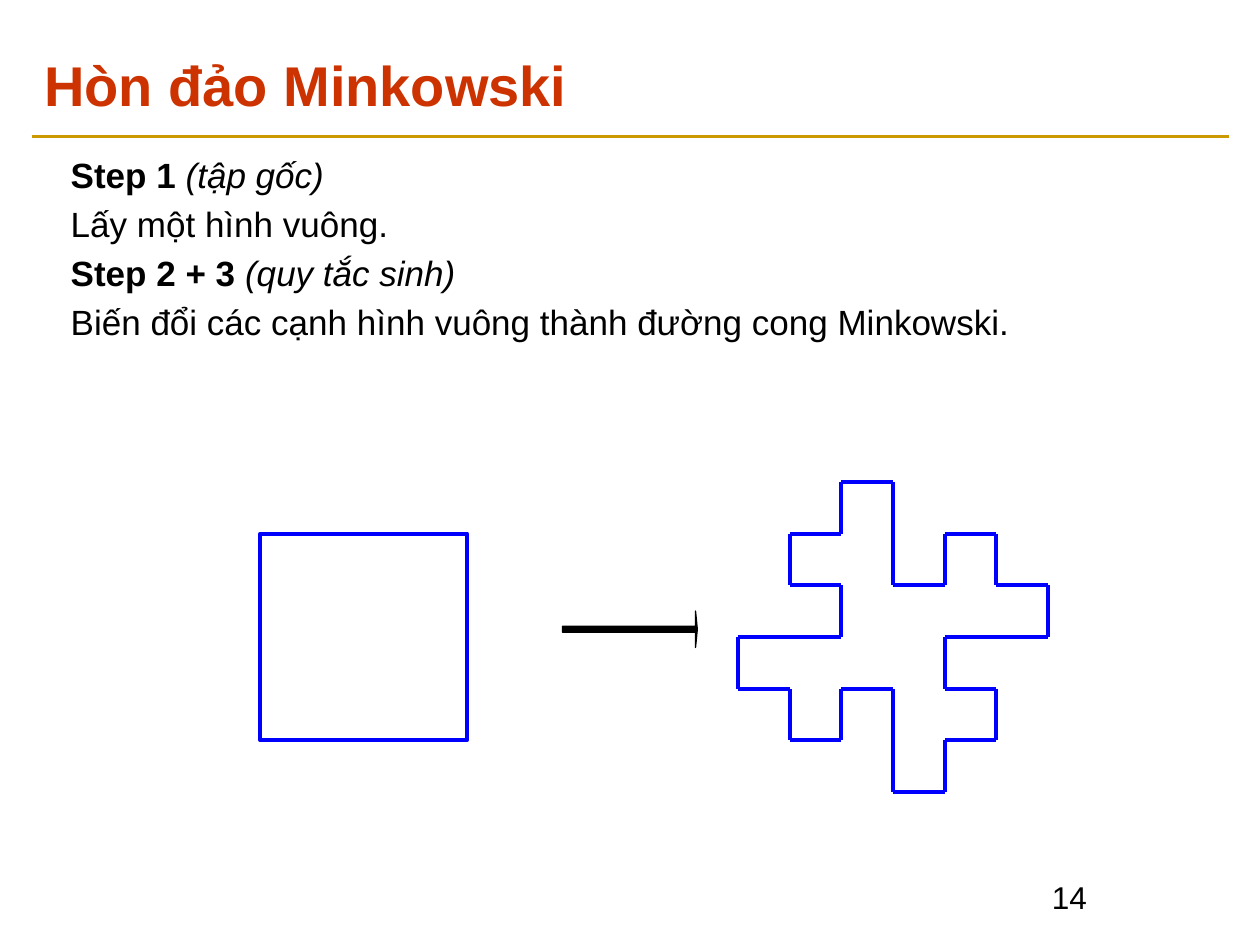
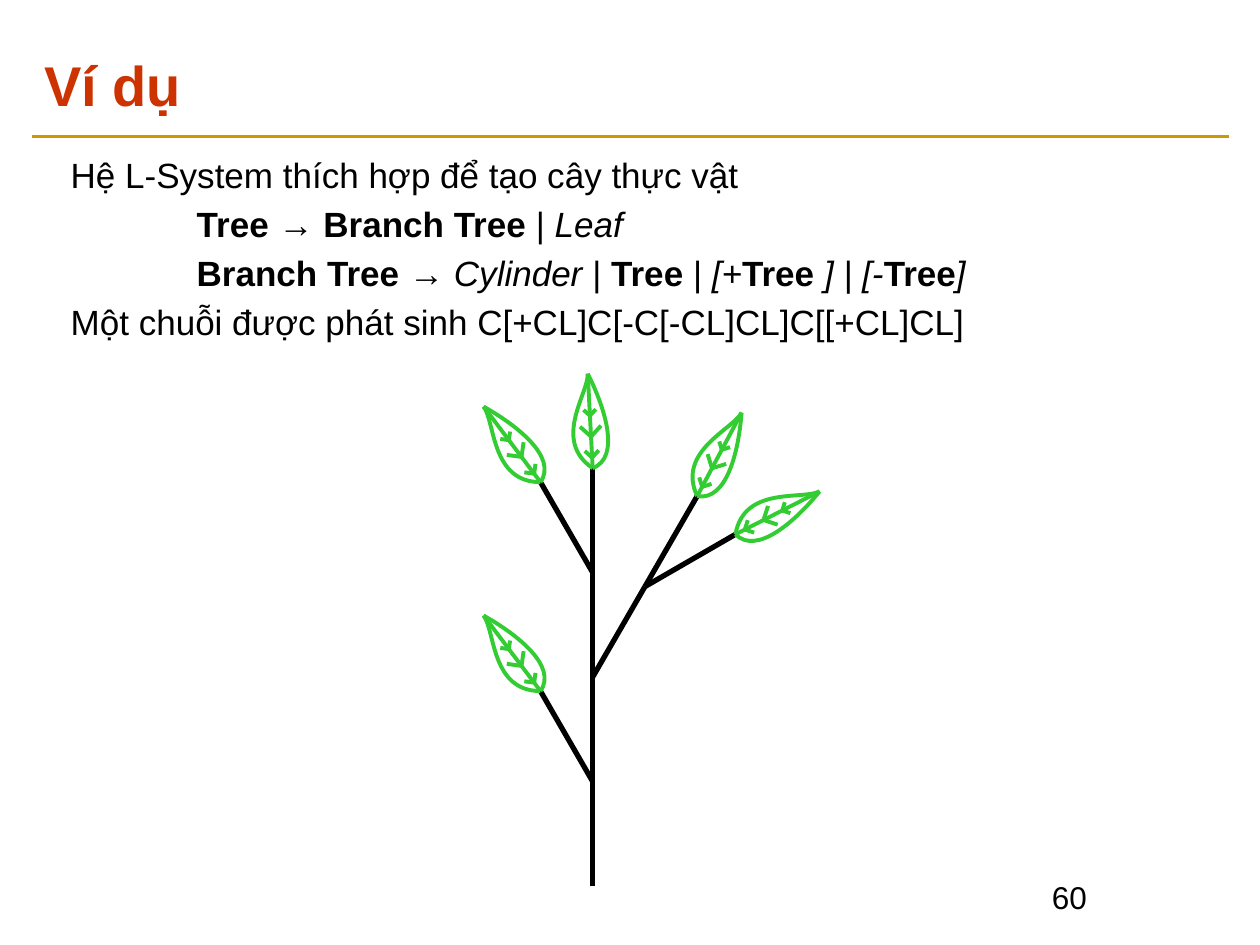
from math import cos, radians, sin

from lxml import etree
from pptx import Presentation
from pptx.dml.color import RGBColor
from pptx.enum.shapes import MSO_CONNECTOR, MSO_SHAPE
from pptx.enum.text import MSO_ANCHOR, PP_ALIGN
from pptx.oxml.ns import qn
from pptx.util import Pt

STRAIGHT = MSO_CONNECTOR.STRAIGHT
RECTANGLE = MSO_SHAPE.RECTANGLE
RIGHT_ARROW = MSO_SHAPE.RIGHT_ARROW
MIDDLE = MSO_ANCHOR.MIDDLE
LEFT = PP_ALIGN.LEFT

FONT = "Arial"
BLACK, WHITE, RED, GOLD = "000000", "FFFFFF", "CC3300", "CC9900"
BLUE, GREEN = "0000FF", "33CC33"

# Minkowski island: directions run right, down, left, up
STEP = 29.52
DIRECTIONS = [(1, 0), (0, 1), (-1, 0), (0, -1)]
MINKOWSKI_RULE = [0, -1, 0, 1, 1, 0, -1, 0]

# L-system tree: C draws a cylinder, L a leaf, + and - turn, brackets branch
TREE_STRING = "C[+CL]C[-C[-CL]CL]C[[+CL]CL]"
CYLINDER = 59.7
TURN = 30
LEAF_ANGLES = {30: 27, 60: 62, 90: 93, 120: 127}

# Leaf parts, measured along and across its midrib
LEAF_LENGTH = 54
LEAF_EDGES = [
    [(0, 0), (17, -22.6), (43, 0), (LEAF_LENGTH, 0)],
    [(0, 0), (5.4, 16.6), (34.5, 8.6), (LEAF_LENGTH, 0)],
]
VEINS = [(6, 4), (18, 6), (30, 3.5)]  # place on the midrib, reach


def color(hex_code):
    return RGBColor.from_string(hex_code)


def style_font(font, size, hex_code, bold=False, italic=False):
    font.name, font.size = FONT, Pt(size)
    font.bold, font.italic = bold, italic
    font.color.rgb = color(hex_code)


def style_shape(shape, fill, line, width):
    shape.shadow.inherit = False
    if fill:
        shape.fill.solid()
        shape.fill.fore_color.rgb = color(fill)
    else:
        shape.fill.background()
    shape.line.color.rgb = color(line)
    shape.line.width = Pt(width)


def add_line(shapes, start, end, hex_code, width=2.25):
    line = shapes.add_connector(STRAIGHT, *(Pt(value) for value in (*start, *end)))
    line.line.color.rgb = color(hex_code)
    line.line.width = Pt(width)
    etree.SubElement(line._element.spPr, qn("a:effectLst"))


def add_text_box(page, left, top, width, height):
    box = page.shapes.add_textbox(Pt(left), Pt(top), Pt(width), Pt(height))
    box.text_frame.word_wrap = True
    return box.text_frame


# Shared frame: title, rule, page number
def add_page(deck, title, number):
    page = deck.slides.add_slide(deck.slide_layouts[5])
    add_line(page.shapes, (18, 78), (702, 78), GOLD)

    heading = page.shapes.title
    heading.left, heading.top = Pt(18), Pt(24)
    heading.width, heading.height = Pt(684), Pt(48)
    frame = heading.text_frame
    frame.text = title
    frame.vertical_anchor = MIDDLE
    frame.paragraphs[0].alignment = LEFT
    style_font(frame.paragraphs[0].runs[0].font, 32, RED, bold=True)

    frame = add_text_box(page, 594, 498, 108, 36)
    frame.text = number
    style_font(frame.paragraphs[0].runs[0].font, 18, BLACK)
    return page


def add_tab_stop(para, position):
    tabs = etree.SubElement(para._p.get_or_add_pPr(), qn("a:tabLst"))
    etree.SubElement(tabs, qn("a:tab"), pos=str(Pt(position)), algn="l")


# Body: each paragraph is a list of (text, style)
def add_body(page, paragraphs, left=33.3, top=84, width=655, height=152):
    frame = add_text_box(page, left, top, width, height)
    for index, spans in enumerate(paragraphs):
        para = frame.add_paragraph() if index else frame.paragraphs[0]
        if spans[0][0] == "\t":
            add_tab_stop(para, 72)
        if index:
            para.space_before = Pt(4)
        for text, style in spans:
            span = para.add_run()
            span.text = text
            style_font(span.font, 20, BLACK, style == "b", style == "i")


# Minkowski drawing
def draw_island(page, left, top):
    group = page.shapes.add_group_shape()
    x, y = left + STEP, top + STEP
    for side in range(4):
        for turn in MINKOWSKI_RULE:
            dx, dy = DIRECTIONS[(side + turn) % 4]
            end = x + dx * STEP, y + dy * STEP
            add_line(group.shapes, (x, y), end, BLUE)
            x, y = end


def draw_generation(page, left, top):
    draw_island(page, left + 272.9, top)

    side = 4 * STEP
    square = page.shapes.add_shape(
        RECTANGLE, Pt(left), Pt(top + STEP), Pt(side), Pt(side))
    style_shape(square, WHITE, BLUE, 2.25)

    arrow = page.shapes.add_shape(
        RIGHT_ARROW, Pt(left + 172.7), Pt(top + 73.8), Pt(77), Pt(20.8))
    arrow.adjustments[0], arrow.adjustments[1] = 0.165, 0.048
    style_shape(arrow, BLACK, BLACK, 0.75)


# L-system tree
def add_curve(shapes, points):
    start, *rest = [(Pt(x), Pt(y)) for x, y in points]
    builder = shapes.build_freeform(*start, scale=1.0)
    builder.add_line_segments(rest, close=False)
    curve = builder.convert_to_shape()
    # Turn the three straight segments into one cubic curve
    outline = curve._element.find(".//" + qn("a:path"))
    segments = outline.findall(qn("a:lnTo"))
    cubic = etree.SubElement(outline, qn("a:cubicBezTo"))
    for segment in segments:
        cubic.append(segment[0])
        outline.remove(segment)
    style_shape(curve, None, GREEN, 2.25)
    return curve


def draw_leaf(page, base_x, base_y, angle):
    group = page.shapes.add_group_shape()
    cosine, sine = cos(radians(angle)), sin(radians(angle))

    def place(along, across):
        return (base_x + along * cosine + across * sine,
                base_y - along * sine + across * cosine)

    # Each edge is built level, then turned about its centre
    for edge in LEAF_EDGES:
        middle = sum((min(edge, key=lambda p: p[1])[1],
                      max(edge, key=lambda p: p[1])[1])) / 2
        center_x, center_y = place(LEAF_LENGTH / 2, middle)
        curve = add_curve(group.shapes, [
            (center_x + along - LEAF_LENGTH / 2, center_y + across - middle)
            for along, across in edge])
        curve.rotation = 360 - angle

    add_line(group.shapes, place(0, 0), place(LEAF_LENGTH, 0), GREEN)
    for across in (-1, 1):
        for start, reach in VEINS:
            add_line(group.shapes, place(start, 0),
                     place(start + reach, across * reach), GREEN)


def draw_tree(page, root_x, root_y):
    x, y, heading = root_x, root_y, 90
    saved, leaves = [], []
    for symbol in TREE_STRING:
        if symbol == "C":
            end = (x + CYLINDER * cos(radians(heading)),
                   y - CYLINDER * sin(radians(heading)))
            add_line(page.shapes, (x, y), end, BLACK, 3)
            x, y = end
        elif symbol == "L":
            leaves.append((x, y, LEAF_ANGLES[heading]))
        elif symbol == "[":
            saved.append((x, y, heading))
        elif symbol == "]":
            x, y, heading = saved.pop()
        else:
            heading += TURN if symbol == "+" else -TURN
    for leaf in leaves:
        draw_leaf(page, *leaf)


def main():
    deck = Presentation()
    deck.slide_width, deck.slide_height = Pt(720), Pt(540)

    page = add_page(deck, "Hòn đảo Minkowski", "14")
    add_body(page, [
        [("Step 1", "b"), (" (tập gốc)", "i")],
        [("Lấy một hình vuông.", "")],
        [("Step 2 + 3", "b"), (" (quy tắc sinh)", "i")],
        [("Biến đổi các cạnh hình vuông thành đường cong Minkowski.", "")],
    ])
    draw_generation(page, 148.8, 275.4)

    page = add_page(deck, "Ví dụ", "60")
    add_body(page, [
        [("Hệ L-System thích hợp để tạo cây thực vật", "")],
        [("\t", ""), ("Tree", "b"), (" → ", ""), ("Branch Tree", "b"),
         (" | ", ""), ("Leaf", "i")],
        [("\t", ""), ("Branch Tree", "b"), (" → ", ""), ("Cylinder", "i"),
         (" | ", ""), ("Tree ", "b"), ("| ", ""), ("[+", "i"), ("Tree ", "b"),
         ("] | [-", "i"), ("Tree", "b"), ("]", "i")],
        [("Một chuỗi được phát sinh " + TREE_STRING, "")],
    ], height=414)
    draw_tree(page, 338.7, 506.3)

    deck.save("out.pptx")


if __name__ == "__main__":
    main()
